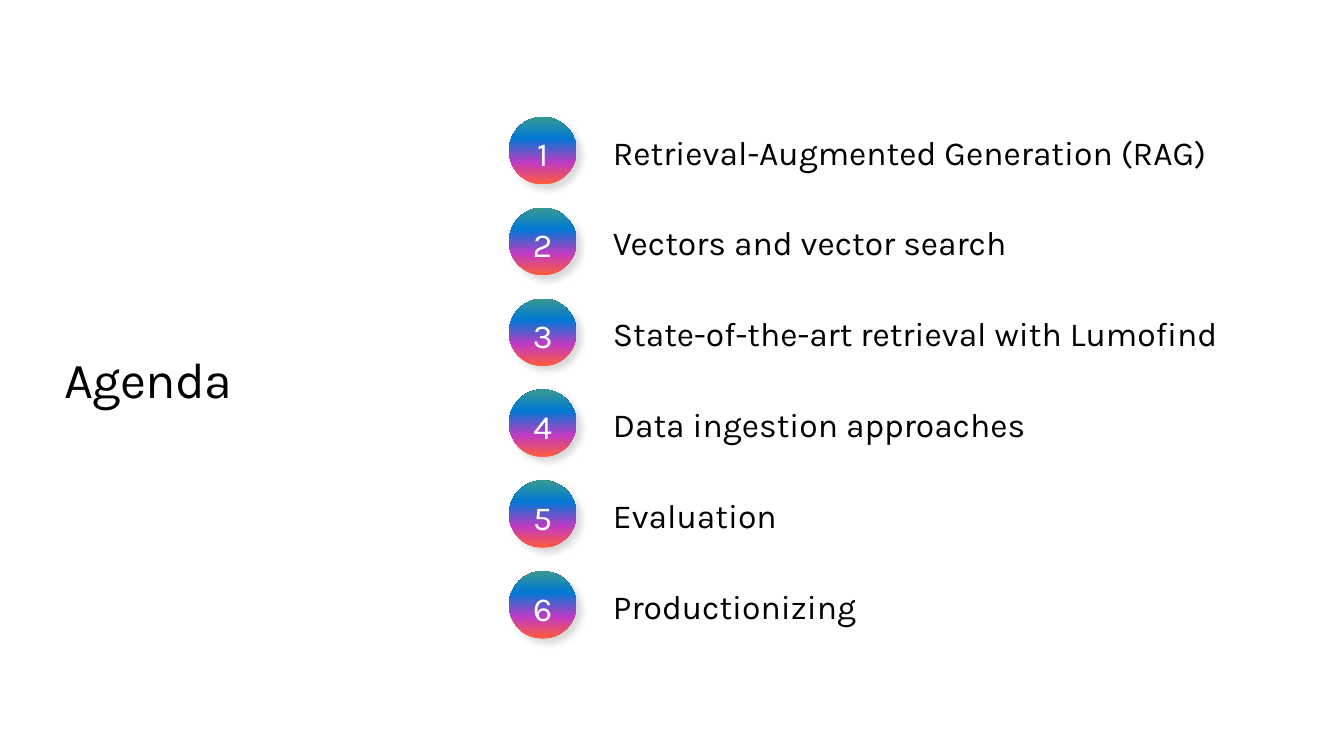
from lxml.etree import SubElement as Sub
from pptx import Presentation
from pptx.dml.color import RGBColor as Rgb
from pptx.enum.shapes import MSO_SHAPE as Kind
from pptx.enum.text import MSO_ANCHOR as Anchor, MSO_AUTO_SIZE as Fit, PP_ALIGN as Align
from pptx.oxml.ns import qn
from pptx.util import Pt

theme = {
    "font": "Karla", "ink": "000000", "light": "FFFFFF", "shade": "454142",
    "stops": [(0, "FF5C39"), (32, "C03BC4"), (68, "0078D4"), (100, "399A91")],
    "title": 36, "body": 24,
}
topics = [
    ("Retrieval-Augmented Generation (RAG)", 486.7),
    ("Vectors and vector search", 404.6),
    ("State-of-the-art retrieval with Lumofind", 450.7),
    ("Data ingestion approaches", 404.6),
    ("Evaluation", 404.6),
    ("Productionizing", 404.6),
]
pitch = 64.9


def write(shape, text, size, color, align=Align.LEFT, top=0):
    frame = shape.text_frame
    frame.word_wrap = True
    frame.vertical_anchor = Anchor.MIDDLE
    frame.margin_left = frame.margin_right = frame.margin_bottom = 0
    frame.margin_top = Pt(top)
    frame.text = text
    para = frame.paragraphs[0]
    para.alignment = align
    font = para.runs[0].font
    font.name = theme["font"]
    font.size = Pt(size)
    font.color.rgb = Rgb.from_string(color)
    return font


def paint(disc):
    disc.fill.gradient()
    disc.fill.gradient_angle = 90
    stops = disc.fill._fill._gradFill.find(qn("a:gsLst"))
    stops.clear()
    for place, color in theme["stops"]:
        stop = Sub(stops, qn("a:gs"), pos=str(place * 1000))
        Sub(stop, qn("a:srgbClr"), val=color)
    disc.line.fill.background()
    disc.shadow.inherit = False
    effect = disc._element.spPr.find(qn("a:effectLst"))
    shadow = Sub(effect, qn("a:outerShdw"), blurRad=str(Pt(5)), dist=str(Pt(5)),
                 dir="2700000", algn="tl", rotWithShape="0")
    tint = Sub(shadow, qn("a:srgbClr"), val=theme["shade"])
    Sub(tint, qn("a:alpha"), val="20000")


deck = Presentation()
deck.slide_width, deck.slide_height = Pt(960), Pt(540)
slide = deck.slides.add_slide(deck.slide_layouts[5])

title = slide.shapes.title
title.left, title.top, title.width, title.height = Pt(46), Pt(248.4), Pt(324.7), Pt(44)
font = write(title, "Agenda", theme["title"], theme["ink"])
font._element.set("spc", "-50")
title.text_frame.auto_size = Fit.SHAPE_TO_FIT_TEXT

discs = slide.shapes.add_group_shape()
for row, (topic, width) in enumerate(topics):
    disc = discs.shapes.add_shape(
        Kind.OVAL, Pt(363.6), Pt(83.5 + row * pitch), Pt(48.2), Pt(48.2))
    paint(disc)
    write(disc, str(row + 1), theme["body"], theme["light"], Align.CENTER, 4)

    label = slide.shapes.add_textbox(
        Pt(437.8), Pt(93.9 + row * pitch), Pt(width), Pt(28.8))
    write(label, topic, theme["body"], theme["ink"])
    label.text_frame.auto_size = Fit.SHAPE_TO_FIT_TEXT

deck.save("out.pptx")
